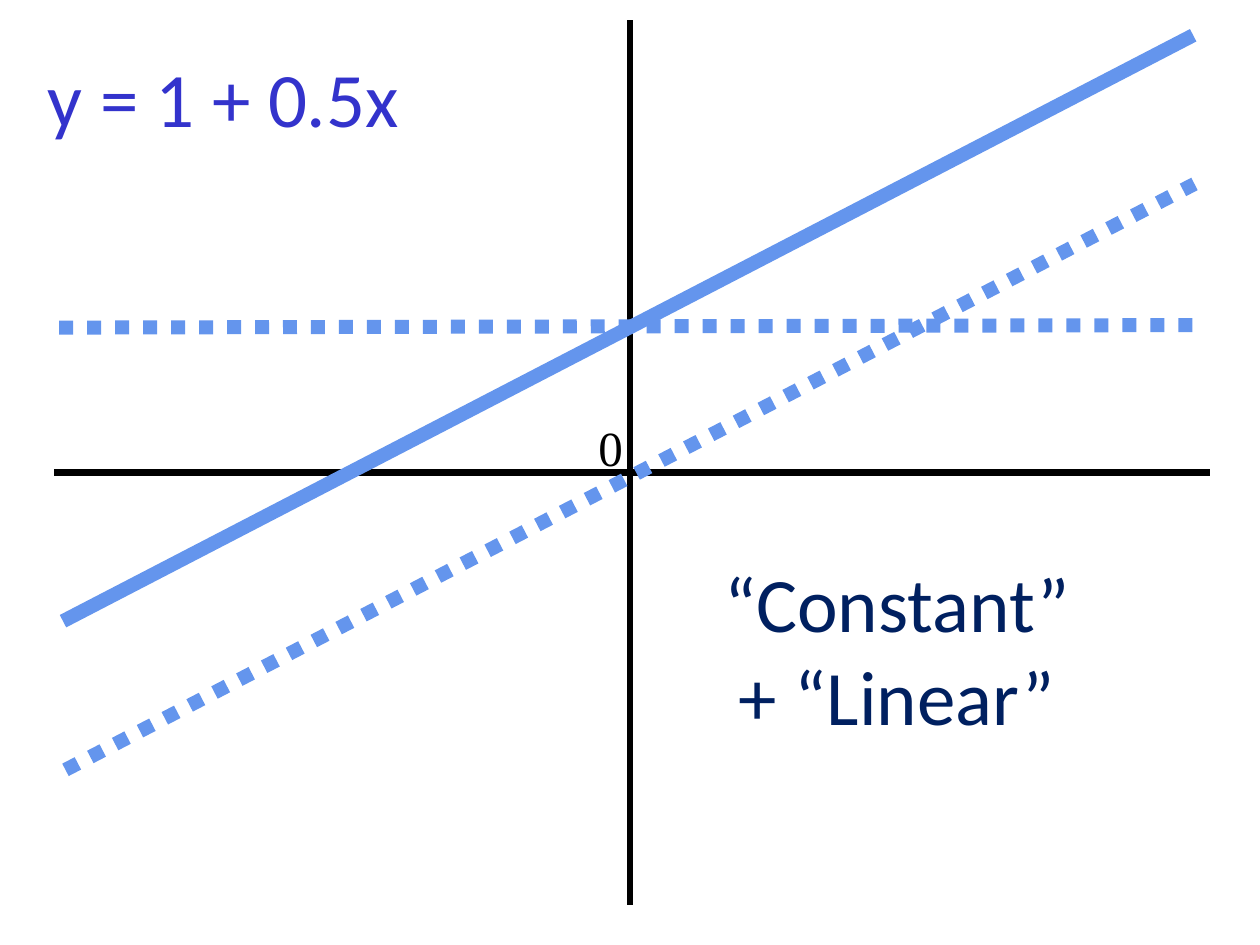
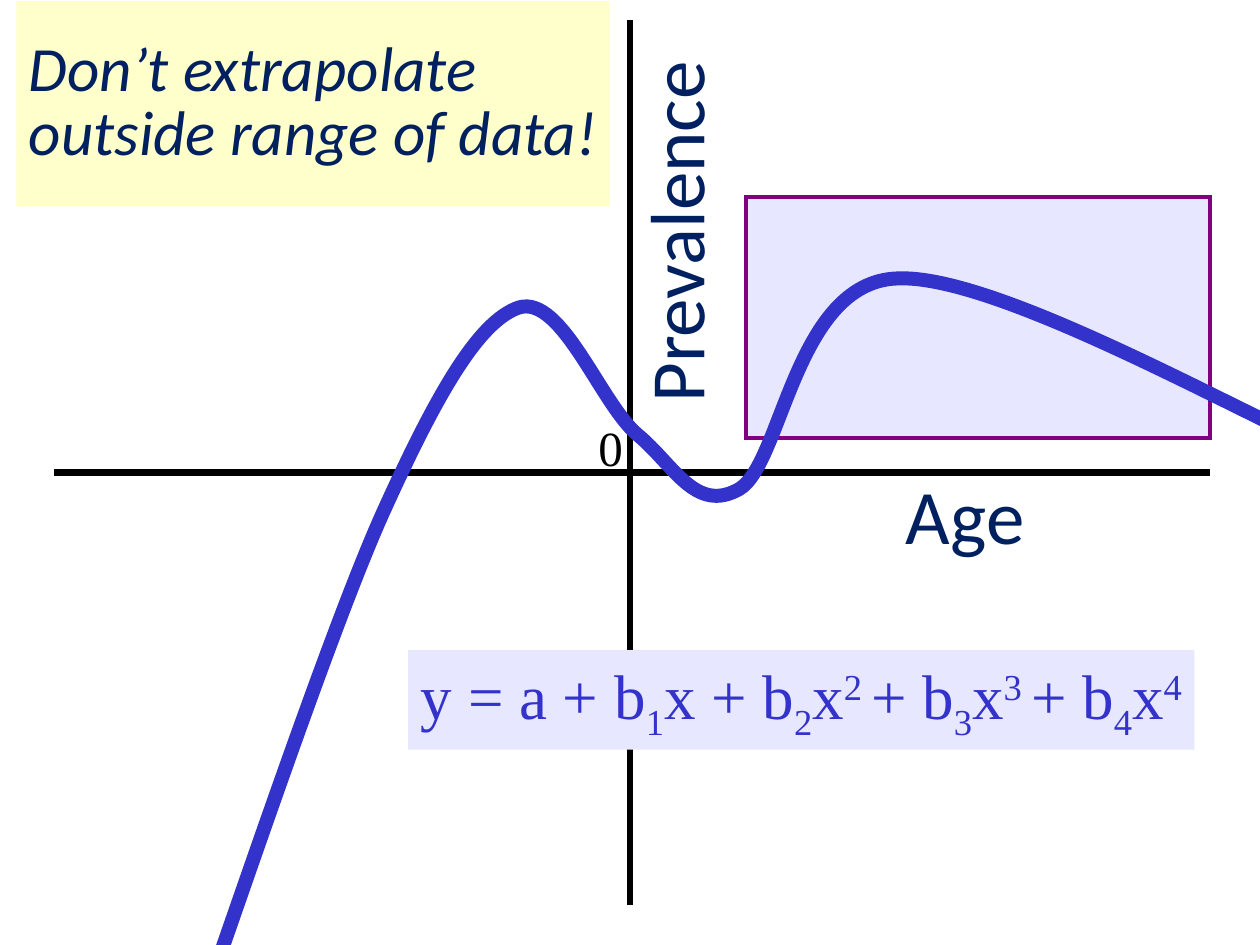
from dataclasses import dataclass

from lxml import etree
from pptx import Presentation
from pptx.dml.color import RGBColor
from pptx.enum.dml import MSO_LINE
from pptx.enum.shapes import MSO_CONNECTOR, MSO_SHAPE
from pptx.enum.text import MSO_ANCHOR, MSO_AUTO_SIZE, PP_ALIGN
from pptx.oxml.ns import qn
from pptx.util import Inches, Pt

BLACK = RGBColor(0x00, 0x00, 0x00)
NAVY = RGBColor(0x00, 0x20, 0x60)
BLUE = RGBColor(0x33, 0x33, 0xCC)
CORNFLOWER = RGBColor(0x64, 0x95, 0xED)
PURPLE = RGBColor(0x80, 0x00, 0x80)
LAVENDER = RGBColor(0xE7, 0xE7, 0xFF)
CREAM = RGBColor(0xFF, 0xFF, 0xCC)

SANS, SERIF = "Calibri", "Times New Roman"
STRAIGHT, RECTANGLE = MSO_CONNECTOR.STRAIGHT, MSO_SHAPE.RECTANGLE
DOTTED = MSO_LINE.ROUND_DOT
LEFT, CENTER = PP_ALIGN.LEFT, PP_ALIGN.CENTER
TOP, MIDDLE = MSO_ANCHOR.TOP, MSO_ANCHOR.MIDDLE
GROW = MSO_AUTO_SIZE.SHAPE_TO_FIT_TEXT

BLANK_LAYOUT = 6
SUB, SUPER = -25, 30  # baseline shift in percent


@dataclass
class Stroke:
    start: tuple[float, float]
    end: tuple[float, float]
    color: RGBColor
    width: float
    dash: MSO_LINE | None = None


@dataclass
class Span:
    text: str
    baseline: int = 0


AXES = (
    Stroke((5, 0.16), (5, 7.18), BLACK, 4),
    Stroke((9.6, 3.75), (0.43, 3.75), BLACK, 4),
)
CONSTANT_LINE = Stroke((0.47, 2.6), (9.47, 2.58), CORNFLOWER, 8, DOTTED)
LINEAR_LINE = Stroke((0.52, 6.11), (9.48, 1.46), CORNFLOWER, 8, DOTTED)
SUM_LINE = Stroke((0.5, 4.93), (9.47, 0.28), CORNFLOWER, 8)

# Cubic segments, one a row: two control points and an end point
CURVE_START = (1.58, 8.05)
CURVE_POINTS = (
    (1.82, 7.39), (2.61, 5.03), (3.03, 4.09),
    (3.45, 3.16), (3.79, 2.55), (4.12, 2.44),
    (4.46, 2.34), (4.77, 3.21), (5.06, 3.45),
    (5.35, 3.69), (5.52, 4.08), (5.87, 3.88),
    (6.21, 3.67), (6.31, 2.24), (7.12, 2.21),
    (7.93, 2.17), (9.98, 3.36), (10.73, 3.66),
)

POLYNOMIAL = [
    Span("y = a + b"), Span("1", SUB),
    Span("x + b"), Span("2", SUB), Span("x"), Span("2 ", SUPER),
    Span("+ b"), Span("3", SUB), Span("x"), Span("3 ", SUPER),
    Span("+ b"), Span("4", SUB), Span("x"), Span("4", SUPER),
]


def add_stroke(page, stroke: Stroke) -> None:
    ends = [Inches(value) for value in (*stroke.start, *stroke.end)]
    connector = page.shapes.add_connector(STRAIGHT, *ends)
    connector.line.color.rgb = stroke.color
    connector.line.width = Pt(stroke.width)
    if stroke.dash is not None:
        connector.line.dash_style = stroke.dash
    etree.SubElement(connector._element.spPr, qn("a:effectLst"))


def add_box(page, area: tuple, fill: RGBColor, line: RGBColor | None = None):
    box = page.shapes.add_shape(RECTANGLE, *map(Inches, area))
    box.shadow.inherit = False
    box.fill.solid()
    box.fill.fore_color.rgb = fill
    if line is None:
        box.line.fill.background()
    else:
        box.line.color.rgb = line
        box.line.width = Pt(2.25)
        # Sharp corners
        etree.SubElement(box.line._get_or_add_ln(), qn("a:miter"), lim="800000")
    return box


def write(box, *paragraphs: str | list[Span], size: float = 44, font: str = SANS,
          color: RGBColor = NAVY, italic: bool = False, align: PP_ALIGN = CENTER,
          anchor: MSO_ANCHOR = MIDDLE, wrap: bool = False,
          spacing: float = 1.0) -> None:
    frame = box.text_frame
    frame.word_wrap = wrap
    frame.auto_size = GROW
    frame.vertical_anchor = anchor
    for index, content in enumerate(paragraphs):
        para = frame.add_paragraph() if index else frame.paragraphs[0]
        para.alignment = align
        para.line_spacing = spacing
        spans = [Span(content)] if isinstance(content, str) else content
        for span in spans:
            run = para.add_run()
            run.text = span.text
            run.font.size = Pt(size)
            run.font.name = font
            run.font.color.rgb = color
            run.font.italic = italic
            if span.baseline:
                run._r.get_or_add_rPr().set("baseline", str(span.baseline * 1000))


def add_label(page, area: tuple, *paragraphs: str, rotation: float = 0,
              **text_format) -> None:
    box = page.shapes.add_textbox(*map(Inches, area))
    box.rotation = rotation
    write(box, *paragraphs, **text_format)


def add_axes(page) -> None:
    for axis in AXES:
        add_stroke(page, axis)


def add_origin(page) -> None:
    add_label(page, (4.65, 3.26, 0.39, 0.57), "0", size=28, font=SERIF, color=BLACK)


def add_curve(page) -> None:
    builder = page.shapes.build_freeform(*map(Inches, CURVE_START))
    builder.add_line_segments(
        [tuple(map(Inches, point)) for point in CURVE_POINTS], close=False)
    curve = builder.convert_to_shape()
    # Join every three line steps into one cubic segment
    steps = list(curve._element.iter(qn("a:lnTo")))
    for first, second, end in zip(steps[::3], steps[1::3], steps[2::3]):
        first.tag = qn("a:cubicBezTo")
        for step in (second, end):
            first.append(step[0])
            step.getparent().remove(step)
    curve.shadow.inherit = False
    curve.fill.background()
    curve.line.color.rgb = BLUE
    curve.line.width = Pt(8)


def build_sum_page(deck) -> None:
    page = deck.slides.add_slide(deck.slide_layouts[BLANK_LAYOUT])
    add_axes(page)
    add_stroke(page, CONSTANT_LINE)
    add_origin(page)
    add_label(page, (0.28, 0.35, 2.99, 0.84), "y = 1 + 0.5x", color=BLUE)
    add_stroke(page, LINEAR_LINE)
    add_stroke(page, SUM_LINE)
    add_label(page, (5.58, 4.36, 3.08, 1.57), "“Constant” ", "+ “Linear”")


def build_polynomial_page(deck) -> None:
    page = deck.slides.add_slide(deck.slide_layouts[BLANK_LAYOUT])
    # Range of the data, behind axes and curve
    add_box(page, (5.92, 1.56, 3.68, 1.92), LAVENDER, PURPLE)
    add_axes(page)
    add_origin(page)
    add_curve(page)
    # Warning and axis names
    warning = add_box(page, (0.13, 0.01, 4.71, 1.63), CREAM)
    write(warning, "Don’t extrapolate outside range of data!", size=36,
          italic=True, align=LEFT, wrap=True, spacing=0.85)
    add_label(page, (3.88, 1.42, 2.93, 0.84), "Prevalence", rotation=270)
    add_label(page, (7.09, 3.66, 1.14, 0.84), "Age")
    # Equation
    equation = add_box(page, (3.24, 5.16, 6.24, 0.79), LAVENDER)
    write(equation, POLYNOMIAL, size=36, font=SERIF, color=BLUE, anchor=TOP)


def main() -> None:
    deck = Presentation()
    deck.slide_width, deck.slide_height = Inches(10), Inches(7.5)
    build_sum_page(deck)
    build_polynomial_page(deck)
    deck.save("out.pptx")


if __name__ == "__main__":
    main()
